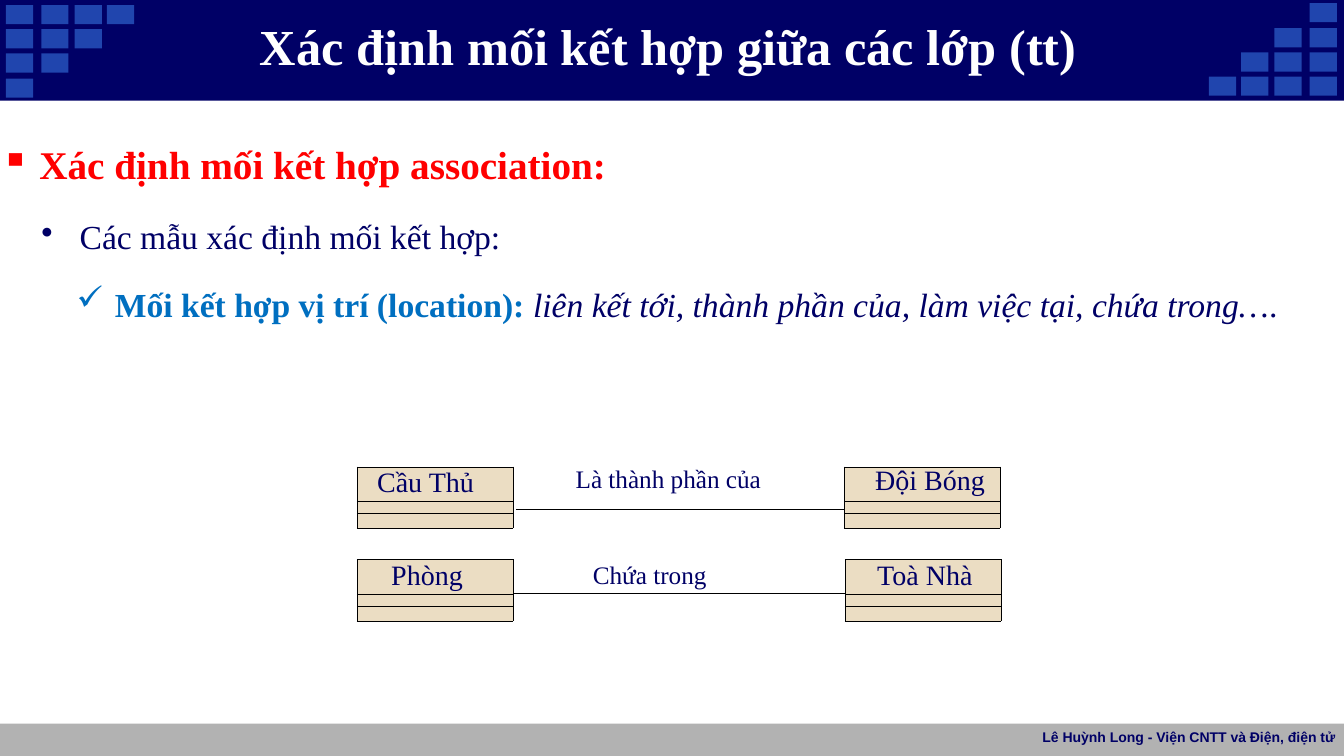
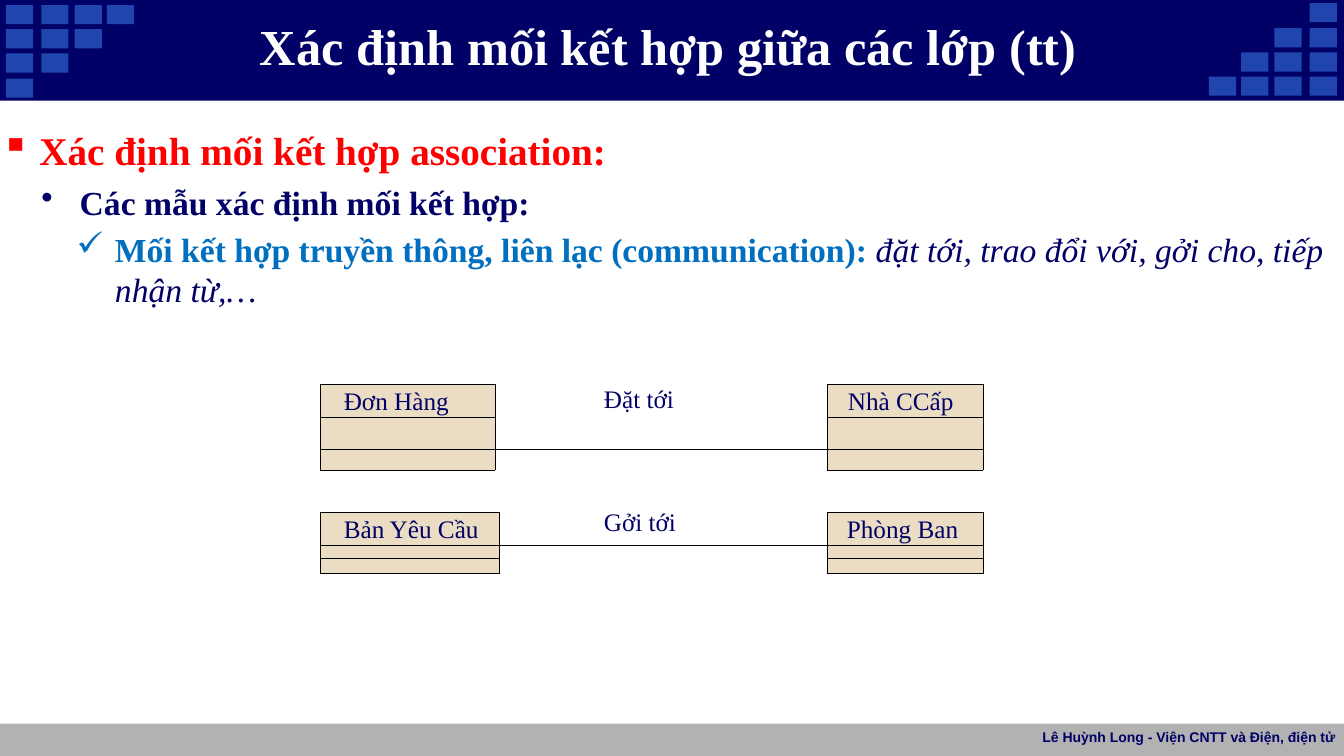
from lxml import etree
from pptx import Presentation
from pptx.dml.color import RGBColor
from pptx.enum import shapes, text
from pptx.oxml.ns import qn
from pptx.util import Inches, Pt

NAVY = RGBColor(0x00, 0x00, 0x66)
BLUE = RGBColor(0x20, 0x45, 0xAE)
SKY = RGBColor(0x00, 0x6F, 0xC0)
RED = RGBColor(0xFF, 0x00, 0x00)
GRAY = RGBColor(0xB2, 0xB2, 0xB2)
SAND = RGBColor(0xEB, 0xDD, 0xC3)
WHITE = RGBColor(0xFF, 0xFF, 0xFF)
BLACK = RGBColor(0x00, 0x00, 0x00)
SERIF = "Times New Roman"
SANS = "Arial"
WIDE = 13.33
TITLE = "Xác định mối kết hợp giữa các lớp (tt)"
FOOT = "Lê Huỳnh Long - Viện CNTT và Điện, điện tử"
BULLETS = (("▪", 0.39, 0), ("•", 0.79, 6), ("✓", 1.14, 5.1))


class Deck:
    """Holds the style, the presentation and the current slide."""

    def __init__(self):
        self.prs = Presentation()
        self.prs.slide_width = Inches(WIDE)
        self.prs.slide_height = Inches(7.5)
        self.slide = None

    def start(self):
        self.slide = self.prs.slides.add_slide(self.prs.slide_layouts[6])
        self.rect(0, 7.18, WIDE, 0.32, GRAY)
        self.rect(0, 0, WIDE, 1, NAVY)
        for row, top in enumerate((0.05, 0.29, 0.53, 0.78)):
            for left in (0.06, 0.41, 0.74, 1.06)[:4 - row]:
                self.rect(left, top, 0.27, 0.19, BLUE)
                self.rect(13.05 - left, 0.81 - top, 0.27, 0.19, BLUE)
        para = self.box(2.42, 0.13, 8.42, 0.62, (0, 0.01, 0, 0),
                        text.MSO_ANCHOR.MIDDLE).paragraphs[0]
        para.alignment = text.PP_ALIGN.CENTER
        self.run(para, TITLE, 36, WHITE, bold=True)
        para = self.box(10.17, 7.18, 3.17, 0.3, (0.1, 0.05, 0.1, 0.05)).paragraphs[0]
        para.alignment = text.PP_ALIGN.RIGHT
        self.run(para, FOOT, 10, NAVY, bold=True, face=SANS)

    def rect(self, x, y, w, h, color):
        shape = self.slide.shapes.add_shape(
            shapes.MSO_SHAPE.RECTANGLE, Inches(x), Inches(y), Inches(w), Inches(h))
        shape.shadow.inherit = False
        shape.fill.solid()
        shape.fill.fore_color.rgb = color
        shape.line.fill.background()

    def box(self, x, y, w, h, inset, anchor=text.MSO_ANCHOR.TOP):
        frame = self.slide.shapes.add_textbox(
            Inches(x), Inches(y), Inches(w), Inches(h)).text_frame
        frame.word_wrap = True
        frame.vertical_anchor = anchor
        (frame.margin_left, frame.margin_top,
         frame.margin_right, frame.margin_bottom) = map(Inches, inset)
        return frame

    def run(self, para, words, size, color, bold=False, italic=False, face=SERIF):
        run = para.add_run()
        run.text = words
        font = run.font
        font.name, font.size, font.bold, font.italic = face, Pt(size), bold, italic
        font.color.rgb = color

    def body(self, x, y, w, h, lead, items):
        frame = self.box(x, y, w, h, (0, 0.1, 0, 0))
        for level, (mark, left, gap) in enumerate(BULLETS):
            para = frame.add_paragraph() if level else frame.paragraphs[0]
            para.level = level
            para.line_spacing = lead
            if gap:
                para.space_before = Pt(gap)
            props = para._p.get_or_add_pPr()
            props.set("marL", str(Inches(left)))
            props.set("indent", str(Inches(-0.38)))
            etree.SubElement(props, qn("a:buChar")).set("char", mark)
            for item in items[level]:
                self.run(para, *item)

    def label(self, x, y, w, h, words):
        para = self.box(x, y, w, h, (0.01, 0.01, 0, 0)).paragraphs[0]
        self.run(para, words, 18, NAVY)

    def line(self, x, y, end):
        link = self.slide.shapes.add_connector(
            shapes.MSO_CONNECTOR.STRAIGHT, Inches(x), Inches(y), Inches(end), Inches(y))
        link.line.color.rgb = BLACK
        link.line.width = Pt(0.72)
        etree.SubElement(link._element.spPr, qn("a:effectLst"))

    def edge(self, cell, widths):
        props = cell._tc.get_or_add_tcPr()
        for side, width in zip("LRTB", widths):
            line = etree.SubElement(props, qn("a:ln" + side))
            line.set("w", str(Pt(width)))
            if width:
                fill = etree.SubElement(line, qn("a:solidFill"))
                etree.SubElement(fill, qn("a:srgbClr")).set("val", str(BLACK))
            else:
                etree.SubElement(line, qn("a:noFill"))

    def grid(self, x, y, cols, rows, heads, size, split=1):
        table = self.slide.shapes.add_table(
            len(rows), len(cols), Inches(x), Inches(y),
            Inches(sum(cols)), Inches(sum(rows))).table
        table.first_row = table.horz_banding = False
        for col, width in zip(table.columns, cols):
            col.width = Inches(width)
        for row, (line, height) in enumerate(zip(table.rows, rows)):
            line.height = Inches(height)
            for col, cell in enumerate(line.cells):
                cell.margin_left = cell.margin_right = 0
                cell.margin_top = cell.margin_bottom = 0
                para = cell.text_frame.paragraphs[0]
                if col == 1:
                    self.edge(cell, (0.25, 0.25, 0.75 * (row == split),
                                     0.75 * (row == split - 1)))
                    cell.fill.background()
                else:
                    self.edge(cell, (0.25,) * 4)
                    cell.fill.solid()
                    cell.fill.fore_color.rgb = SAND
                if row:
                    etree.SubElement(para._p, qn("a:endParaRPr")).set("sz", "400")
                else:
                    words, left, top = heads[col]
                    cell.margin_left, cell.margin_top = Inches(left), Inches(top)
                    para.line_spacing = Pt(18 if col == 1 else 18.6)
                    self.run(para, words, 18 if col == 1 else size, NAVY)


def main():
    deck = Deck()
    head = [("Xác định mối kết hợp association:", 28, RED, True)]
    sub = "Các mẫu xác định mối kết hợp:"
    rows = (0.34, 0.12, 0.15)

    deck.start()
    deck.body(0, 1.06, WIDE, 2.17, 1.5, (
        head,
        [(sub, 24, NAVY)],
        [("Mối kết hợp vị trí (location): ", 24, SKY, True),
         ("liên kết tới, thành phần của, làm việc tại, chứa trong…", 24, NAVY, False, True),
         (".", 24, NAVY)]))
    deck.grid(3.54, 4.63, (1.55,), rows, [("Cầu Thủ", 0.2, 0.06)], 20)
    deck.grid(8.37, 4.63, (1.55,), rows, [("Đội Bóng", 0.31, 0.04)], 20)
    deck.label(5.7, 4.59, 1.96, 0.32, "Là thành phần của")
    deck.line(5.12, 5.05, 8.37)
    deck.grid(3.54, 5.55, (1.55, 3.29, 1.55), rows, [
        ("Phòng", 0.34, 0.06), ("Chứa trong", 0.79, 0.05), ("Toà Nhà", 0.32, 0.06)], 20)

    deck.start()
    deck.body(0, 1.15, 13.25, 1.94, 1.0, (
        head,
        [(sub, 24, NAVY, True)],
        [("Mối kết hợp truyền thông, liên lạc (communication): ", 24, SKY, True),
         ("đặt tới, trao đổi với, gởi cho, tiếp nhận từ,…", 24, NAVY, False, True)]))
    deck.grid(3.18, 3.81, (1.73, 3.29, 1.55), (0.33, 0.32, 0.2), [
        ("Đơn Hàng", 0.23, 0.06), ("Đặt tới", 1.08, 0.05), ("Nhà CCấp", 0.21, 0.06)], 18, 2)
    deck.grid(3.18, 5.08, (1.77, 3.25, 1.55), (0.33, 0.13, 0.15), [
        ("Bản Yêu Cầu", 0.23, 0.06), ("Gởi tới", 1.04, 0), ("Phòng Ban", 0.2, 0.06)], 18)
    deck.prs.save("out.pptx")


if __name__ == "__main__":
    main()
